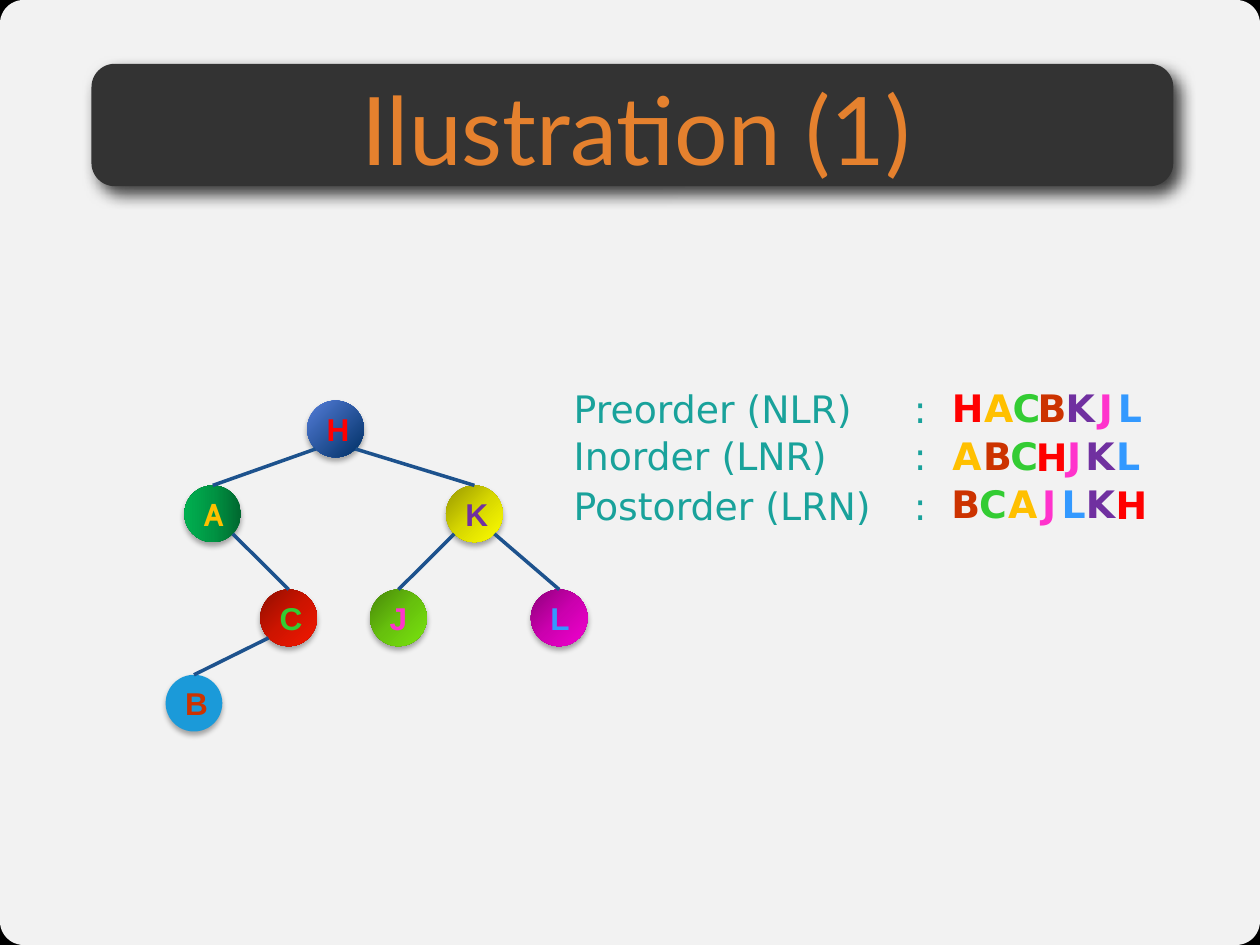
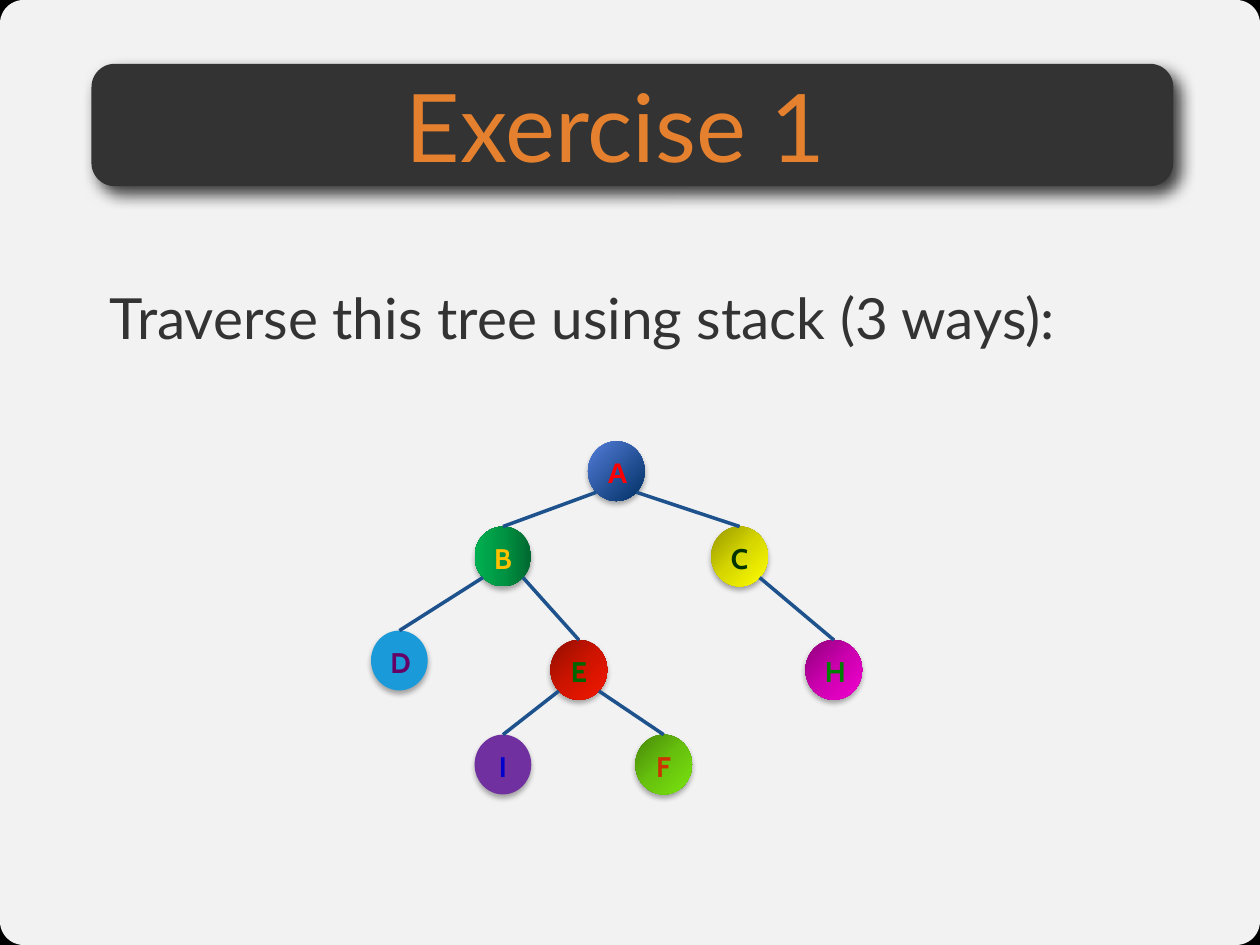
import math

import pptx
import pptx.dml.color
import pptx.enum.shapes
import pptx.enum.text
import pptx.oxml.ns
import pptx.util
from lxml import etree

Cm = pptx.util.Cm
Pt = pptx.util.Pt
qn = pptx.oxml.ns.qn
Shape = pptx.enum.shapes.MSO_SHAPE
Anchor = pptx.enum.text.MSO_ANCHOR
Align = pptx.enum.text.PP_ALIGN

# Shared look
PAGE_WIDTH, PAGE_HEIGHT = 28.22, 21.16
DARK, ORANGE, TEAL, EDGE = "333333", "E5812E", "19A29B", "1D528D"
# Shadows: opacity in percent, blur and distance in points, angle in degrees
BAND_SHADOW = (75, 10, 6, 51)
NODE_SHADOW = (32, 3.5, 2.2, 90)

# Node fills: a plain colour, or the gradient angle and its evenly spaced stops
FILLS = {
    "navy": (45, "547DD8", "003065"),
    "green": (180, "00682F", "009443", "00B050"),
    "magenta": (45, "8F007B", "CC00AF", "F200CF"),
    "yellow": (45, "979700", "D7D700", "FFFF00"),
    "red": (45, "910E00", "CE1400", "F41700"),
    "lime": (45, "488809", "67C10D", "7AE50F"),
    "sky": "1B9AD9",
    "purple": "7030A0",
}

# Slide 1: letter colours and box widths, tree and traversals (lengths in cm)
LETTERS = {
    "H": ("FF0000", 0.74), "A": ("FFC000", 1.17), "K": ("7030A0", 1.02),
    "C": ("33CC33", 0.79), "B": ("CC3300", 1.17), "J": ("FF33CC", 0.79),
    "L": ("3399FF", 1.07),
}
EXAMPLE_NODES = {
    "H": (6.88, 8.97, "navy", "Arial"),
    "A": (4.13, 10.87, "green", "Cabin"),
    "L": (11.89, 13.2, "magenta", "Arial"),
    "K": (9.99, 10.87, "yellow", "Arial"),
    "B": (3.71, 15.11, "sky", "Arial"),
    "C": (5.83, 13.2, "red", "Arial"),
    "J": (8.29, 13.2, "lime", "Arial"),
}
EXAMPLE_EDGES = ["HA", "HK", "CB", "AC", "KJ", "KL"]
# Name, top of the label, top of the letters, left of each letter in order
TRAVERSALS = [
    ("Preorder (NLR)", 8.51, 8.5,
     {"H": 21.07, "A": 21.79, "C": 22.43, "B": 22.99,
      "K": 23.62, "J": 24.36, "L": 24.79}),
    ("Inorder (LNR)", 9.56, 9.56,
     {"A": 21.08, "B": 21.77, "C": 22.38, "H": 22.95,
      "J": 23.65, "K": 24.06, "L": 24.75}),
    ("Postorder (LRN)", 10.69, 10.65,
     {"B": 21.06, "C": 21.68, "A": 22.33, "J": 23.09,
      "L": 23.53, "K": 24.07, "H": 24.74}),
]

# Slide 2: tree
EXERCISE_NODES = {
    "A": (13.17, 9.88, "navy", "Arial", "FF0000"),
    "B": (10.63, 11.79, "green", "Cabin", "FFC000"),
    "H": (18.04, 14.33, "magenta", "Cabin", "008000"),
    "C": (15.93, 11.79, "yellow", "Cabin", "003300"),
    "D": (8.31, 14.12, "sky", "Cabin", "660066"),
    "E": (12.33, 14.33, "red", "Cabin", "006600"),
    "F": (14.23, 16.45, "lime", "Cabin", "CC3300"),
    "I": (10.63, 16.45, "purple", "Cabin", "0000CC"),
}
EXERCISE_EDGES = ["AB", "AC", "BD", "BE", "EF", "CH", "EI"]


def color(hex_code):
    return pptx.dml.color.RGBColor.from_string(hex_code)


def place(left, top, width, height):
    return Cm(left), Cm(top), Cm(width), Cm(height)


def add_color(parent, hex_code, opacity=None):
    """Append a colour element, with opacity in percent if given."""
    element = etree.SubElement(parent, qn("a:srgbClr"), val=hex_code)
    if opacity is not None:
        etree.SubElement(element, qn("a:alpha"), val=str(opacity * 1000))


def style_paragraph(para, size, face, hex_code, bold=False, align=None):
    para.alignment = align
    para.font.size = Pt(size)
    para.font.name = face
    para.font.bold = bold
    para.font.color.rgb = color(hex_code)


def clear_margins(frame):
    frame.margin_left = frame.margin_right = 0
    frame.margin_top = frame.margin_bottom = 0


def set_gradient(shape, angle, *stops):
    shape.fill.gradient()
    shape.fill.gradient_angle = (360 - angle) % 360
    stop_list = shape.element.spPr.find(".//" + qn("a:gsLst"))
    for old_stop in list(stop_list):
        stop_list.remove(old_stop)
    for index, hex_code in enumerate(stops):
        position = 100000 * index // (len(stops) - 1)
        stop = etree.SubElement(stop_list, qn("a:gs"), pos=str(position))
        add_color(stop, hex_code)


def set_shadow(shape, opacity, blur, distance, angle):
    effects = shape.element.spPr.find(qn("a:effectLst"))
    shadow = etree.SubElement(
        effects, qn("a:outerShdw"), blurRad=str(Pt(blur)), dist=str(Pt(distance)),
        dir=str(angle * 60000), algn="ctr", rotWithShape="0")
    add_color(shadow, "000000", opacity)


def add_filled(page, kind, box, fill, shadow=None):
    """Add a preset shape without outline, with a plain or gradient fill."""
    shape = page.shapes.add_shape(kind, *place(*box))
    if isinstance(fill, str):
        shape.fill.solid()
        shape.fill.fore_color.rgb = color(fill)
    else:
        set_gradient(shape, *fill)
    shape.line.fill.background()
    shape.shadow.inherit = False
    if shadow:
        set_shadow(shape, *shadow)
    return shape


def add_text(page, box, text, size, face, hex_code, bold=False, tab=None):
    frame = page.shapes.add_textbox(*place(*box)).text_frame
    frame.word_wrap = True
    para = frame.paragraphs[0]
    para.text = text
    if tab:
        tabs = etree.SubElement(para._p.get_or_add_pPr(), qn("a:tabLst"))
        etree.SubElement(tabs, qn("a:tab"), pos=str(Cm(tab)), algn="l")
    style_paragraph(para, size, face, hex_code, bold)
    return frame


def add_page(deck, title_text, title_left, title_top):
    """Add a slide with the black ground, light panel, dark band and title."""
    page = deck.slides.add_slide(deck.slide_layouts[5])
    page.background.fill.solid()
    page.background.fill.fore_color.rgb = color("000000")

    panel = add_filled(page, Shape.ROUNDED_RECTANGLE,
                       (0, 0, PAGE_WIDTH, PAGE_HEIGHT), "FFFFFF")
    panel.adjustments[0] = 0.025
    panel_color = panel.element.spPr.find(".//" + qn("a:srgbClr"))
    etree.SubElement(panel_color, qn("a:alpha"), val="95000")

    band = add_filled(page, Shape.ROUNDED_RECTANGLE,
                      (2.05, 1.43, 24.23, 2.74), DARK, BAND_SHADOW)
    band.adjustments[0] = 0.19

    title = page.shapes.title
    page.shapes.element.append(title.element)  # bring in front of the band
    title.left, title.top, title.width, title.height = place(
        title_left, title_top, 24.13, 2.54)
    frame = title.text_frame
    frame.text = title_text
    frame.auto_size = pptx.enum.text.MSO_AUTO_SIZE.NONE
    frame.vertical_anchor = Anchor.MIDDLE
    clear_margins(frame)
    style_paragraph(frame.paragraphs[0], 60, "Lato", ORANGE, align=Align.CENTER)
    return page


def add_node(page, label, box, fill_name, face, hex_code, size, anchor):
    node = add_filled(page, Shape.OVAL, box, FILLS[fill_name], NODE_SHADOW)
    frame = node.text_frame
    frame.vertical_anchor = anchor
    para = frame.paragraphs[0]
    para.text = label
    style_paragraph(para, size, face, hex_code, bold=True, align=Align.CENTER)


def add_edge(page, parent, child, width, height):
    """Join the lower diagonal of a parent to the top of its child."""
    side = 1 if child[0] > parent[0] else -1
    diagonal = math.sqrt(0.5)
    start_x = parent[0] + width / 2 * (1 + side * diagonal)
    start_y = parent[1] + height / 2 * (1 + diagonal)
    edge = page.shapes.add_connector(
        pptx.enum.shapes.MSO_CONNECTOR.STRAIGHT, Cm(start_x), Cm(start_y),
        Cm(child[0] + width / 2), Cm(child[1]))
    edge.line.color.rgb = color(EDGE)
    edge.line.width = Pt(2.25)
    etree.SubElement(edge.element.spPr, qn("a:effectLst"))


def add_tree(page, nodes, edges, width, height, size, anchor):
    for label, (left, top, fill_name, face, hex_code) in nodes.items():
        add_node(page, label, (left, top, width, height), fill_name, face,
                 hex_code, size, anchor)
    for parent, child in edges:
        add_edge(page, nodes[parent], nodes[child], width, height)


def add_traversal(page, name, label_top, letter_top, lefts):
    add_text(page, (12.6, label_top, 8.69, 1.27), f"{name}\t:", 24,
             "DejaVu Sans", TEAL, tab=7.62)
    for letter, (hex_code, width) in LETTERS.items():
        # The root letter sits slightly lower when it does not come first
        lower = 0.02 if letter == "H" and lefts["H"] > lefts["A"] else 0
        add_text(page, (lefts[letter], letter_top + lower, width, 1.27), letter,
                 24, "DejaVu Sans", hex_code, bold=True)


def build_illustration(deck):
    page = add_page(deck, "Ilustration (1)", 2.18, 1.58)
    nodes = {label: (*node, LETTERS[label][0])
             for label, node in EXAMPLE_NODES.items()}
    add_tree(page, nodes, EXAMPLE_EDGES, 1.27, 1.27, 20, Anchor.MIDDLE)
    for traversal in TRAVERSALS:
        add_traversal(page, *traversal)


def build_exercise(deck):
    page = add_page(deck, "Exercise 1", 1.72, 1.52)
    frame = add_text(page, (2.46, 5.58, 24.28, 14.2),
                     "Traverse this tree using stack (3 ways):", 36, "Lato", DARK)
    clear_margins(frame)
    frame.paragraphs[0].line_spacing = 1.5
    add_tree(page, EXERCISE_NODES, EXERCISE_EDGES, 1.27, 1.34, 18, Anchor.TOP)


def main():
    deck = pptx.Presentation()
    deck.slide_width, deck.slide_height = Cm(PAGE_WIDTH), Cm(PAGE_HEIGHT)
    build_illustration(deck)
    build_exercise(deck)
    deck.save("out.pptx")


if __name__ == "__main__":
    main()
